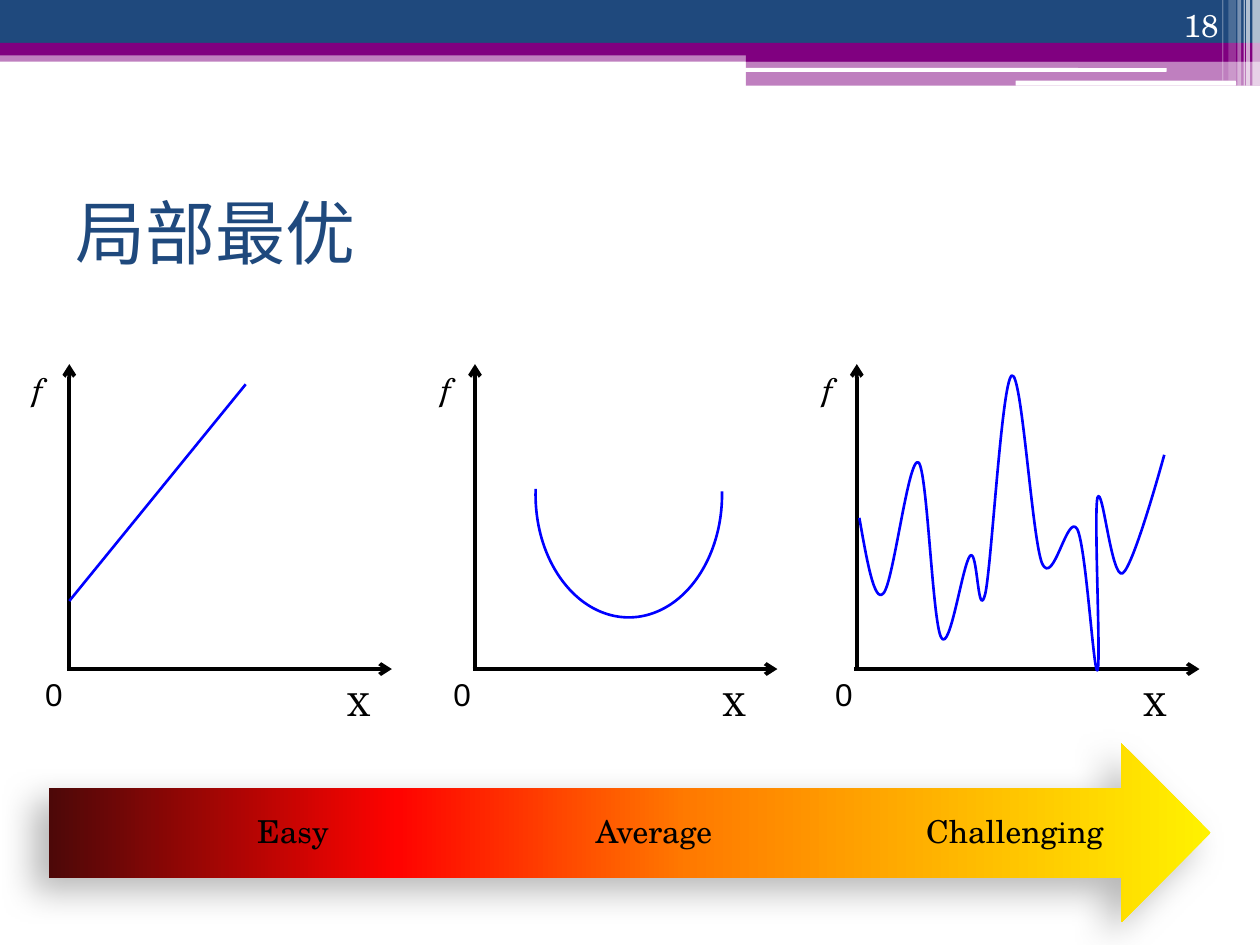
from copy import deepcopy

from lxml import etree
from pptx import Presentation
from pptx import util as u
from pptx.dml.color import RGBColor
from pptx.enum import shapes, text
from pptx.oxml.ns import qn

SERIF = "TeX Gyre Schola"
NAVY, PURPLE, BLUE, BLACK, WHITE = "1F497D", "800080", "0000FF", "000000", "FFFFFF"


def rgb(value):
    return RGBColor.from_string(value)


class SlideBuilder:
    def __init__(self, slide):
        self.shapes = slide.shapes

    def shape(self, kind, left, top, width, height, fill=None, alpha=None):
        shape = self.shapes.add_shape(
            kind, *map(u.Inches, (left, top, width, height)))
        shape.shadow.inherit = False
        shape.line.fill.background()
        if fill is None:
            shape.fill.background()
            return shape
        shape.fill.solid()
        shape.fill.fore_color.rgb = rgb(fill)
        if alpha is not None:
            color = shape._element.spPr.find(f".//{qn('a:srgbClr')}")
            etree.SubElement(color, qn("a:alpha"), val=str(alpha * 1000))
        return shape

    def bar(self, *args, **kwargs):
        return self.shape(shapes.MSO_SHAPE.RECTANGLE, *args, **kwargs)

    def stroke(self, shape, color, width):
        shape.line.color.rgb = rgb(color)
        shape.line.width = u.Pt(width)

    def line(self, start, end, color, width, arrow=False):
        connector = self.shapes.add_connector(
            shapes.MSO_CONNECTOR.STRAIGHT, *map(u.Inches, (*start, *end)))
        self.stroke(connector, color, width)
        properties = connector._element.spPr
        if arrow:
            etree.SubElement(properties.find(qn("a:ln")), qn("a:tailEnd"), type="arrow")
        etree.SubElement(properties, qn("a:effectLst"))

    def label(self, content, left, top, width, height, size=18, font=SERIF,
              color=BLACK, italic=False, align=text.PP_ALIGN.LEFT,
              anchor=text.MSO_ANCHOR.TOP, wrap=True, insets=None, spacing=None):
        frame = self.shapes.add_textbox(
            *map(u.Inches, (left, top, width, height))).text_frame
        frame.word_wrap = wrap
        frame.vertical_anchor = anchor
        if not wrap:
            frame.auto_size = text.MSO_AUTO_SIZE.SHAPE_TO_FIT_TEXT
        if insets:
            side, end = map(u.Inches, insets)
            frame.margin_left = frame.margin_right = side
            frame.margin_top = frame.margin_bottom = end
        paragraph = frame.paragraphs[0]
        paragraph.alignment = align
        if spacing:
            paragraph.line_spacing = spacing
        run = paragraph.add_run()
        run.text = content
        run.font.size = u.Pt(size)
        run.font.name = font
        run.font.italic = italic
        run.font.color.rgb = rgb(color)

    def curve(self, points, color, width):
        start, *controls = [(u.Inches(x), u.Inches(y)) for x, y in points]
        builder = self.shapes.build_freeform(*start)
        builder.add_line_segments(controls, close=False)
        shape = builder.convert_to_shape()
        shape.shadow.inherit = False
        shape.fill.background()
        self.stroke(shape, color, width)
        path = shape._element.spPr.find(f".//{qn('a:path')}")
        segments = path.findall(qn("a:lnTo"))
        for i in range(0, len(segments), 3):
            bezier = etree.SubElement(path, qn("a:cubicBezTo"))
            for segment in segments[i:i + 3]:
                bezier.append(segment[0])
                path.remove(segment)

    def gradient(self, shape, stops, angle):
        shape.fill.gradient()
        shape.fill.gradient_angle = angle
        stop_list = shape._element.spPr.find(f".//{qn('a:gsLst')}")
        while len(stop_list) < len(stops):
            stop_list.append(deepcopy(stop_list[0]))
        for stop, (position, color) in zip(shape.fill.gradient_stops, stops):
            stop.position = position
            stop.color.rgb = rgb(color)

    def cast_shadow(self, shape, alpha, distance, blur, angle):
        effects = shape._element.spPr.find(qn("a:effectLst"))
        shadow = etree.SubElement(
            effects, qn("a:outerShdw"), blurRad=str(u.Pt(blur)),
            dist=str(u.Pt(distance)), dir=str(angle * 60000), rotWithShape="0")
        color = etree.SubElement(shadow, qn("a:srgbClr"), val=BLACK)
        etree.SubElement(color, qn("a:alpha"), val=str(alpha * 1000))

    def axes(self, origin, tip, f_left, x_left):
        base, top = 5.31, 2.89
        self.line((origin - 0.02, base), (tip, base), BLACK, 2.25, arrow=True)
        self.line((origin, base), (origin, top), BLACK, 2.25, arrow=True)
        self.label("X", x_left, 5.39, 0.38, 0.4, wrap=False)
        self.label("f", f_left, top, 0.28, 0.4, italic=True, wrap=False)
        self.label("0", f_left + 0.1, base, 0.34, 0.4, font="Arial", wrap=False)


def draw_header(page):
    page.bar(0, 0.4, 10, 0.09, fill=PURPLE, alpha=50)
    page.bar(0, 0, 10, 0.34, fill=NAVY)
    page.bar(0, 0.34, 10, 0.1, fill=PURPLE)
    page.bar(5.92, 0.39, 4.08, 0.1, fill=PURPLE)
    page.bar(5.92, 0.48, 4.08, 0.2, fill=PURPLE, alpha=50)
    for left, top, width, height in ((5.91, 0.54, 3.35, 0.03), (8.06, 0.64, 1.75, 0.04)):
        page.shape(shapes.MSO_SHAPE.ROUNDED_RECTANGLE, left, top, width, height, fill=WHITE)
    stripes = ((9.94, 0.06, 0.68, 65), (9.89, 0.03, 0.68, 65), (9.87, 0.01, 0.68, 60),
               (9.82, 0.03, 0.68, 40), (9.75, 0.06, 0.64, 20), (9.7, 0.01, 0.64, 30))
    for left, width, height, alpha in stripes:
        page.bar(left, 0, width, height, fill=WHITE, alpha=alpha)
    page.label("18", 8.94, 0, 0.83, 0.4, color=WHITE,
               align=text.PP_ALIGN.RIGHT, anchor=text.MSO_ANCHOR.BOTTOM)


def draw_difficulty_arrow(page):
    arrow = page.shape(shapes.MSO_SHAPE.RIGHT_ARROW, 0.39, 5.9, 9.22, 1.42)
    page.gradient(arrow, ((0, "FFF200"), (0.45, "FF7A00"),
                          (0.7, "FF0300"), (1, "4D0808")), 180)
    page.cast_shadow(arrow, alpha=28, distance=11.8, blur=19.7, angle=141)
    for i, level in enumerate(("Easy", "Average", "Challenging")):
        page.label(level, 1.13 + i * 2.865, 6.26, 2.39, 0.71,
                   align=text.PP_ALIGN.CENTER, anchor=text.MSO_ANCHOR.MIDDLE,
                   insets=(0, 0.2), spacing=0.9)


def draw_landscapes(page):
    page.axes(0.55, 3.11, 0.16, 2.66)
    page.line((0.55, 4.77), (1.95, 3.05), BLUE, 1.5)

    page.axes(3.77, 6.17, 3.4, 5.64)
    valley = page.shape(shapes.MSO_SHAPE.ARC, 4.25, 2.95, 1.48, 1.95)
    valley.rotation = 180
    valley.adjustments[0] = 106.83
    valley.adjustments[1] = 2.07
    page.stroke(valley, BLUE, 1.5)

    page.axes(6.8, 9.52, 6.43, 8.98)
    rugged = (
        (6.82, 4.11),
        (6.88, 4.45), (6.94, 4.79), (7.01, 4.71),
        (7.09, 4.64), (7.21, 3.61), (7.29, 3.67),
        (7.36, 3.73), (7.4, 4.94), (7.47, 5.06),
        (7.54, 5.19), (7.64, 4.47), (7.7, 4.41),
        (7.76, 4.35), (7.76, 4.95), (7.82, 4.71),
        (7.87, 4.48), (7.95, 3.03), (8.03, 2.98),
        (8.11, 2.94), (8.19, 4.27), (8.27, 4.47),
        (8.36, 4.67), (8.47, 4.06), (8.55, 4.2),
        (8.62, 4.34), (8.68, 5.36), (8.71, 5.32),
        (8.74, 5.28), (8.68, 4.08), (8.71, 3.95),
        (8.75, 3.83), (8.82, 4.6), (8.91, 4.55),
        (9, 4.49), (9.24, 3.61), (9.24, 3.61))
    page.curve(rugged, BLUE, 1.5)


def main():
    deck = Presentation()
    deck.slide_width, deck.slide_height = u.Inches(10), u.Inches(7.5)
    page = SlideBuilder(deck.slides.add_slide(deck.slide_layouts[6]))
    draw_header(page)
    page.label("局部最优", 0.5, 1.25, 9, 1.17, size=40, font="Lato",
               color=NAVY, anchor=text.MSO_ANCHOR.MIDDLE)
    draw_difficulty_arrow(page)
    draw_landscapes(page)
    deck.save("out.pptx")


if __name__ == "__main__":
    main()
